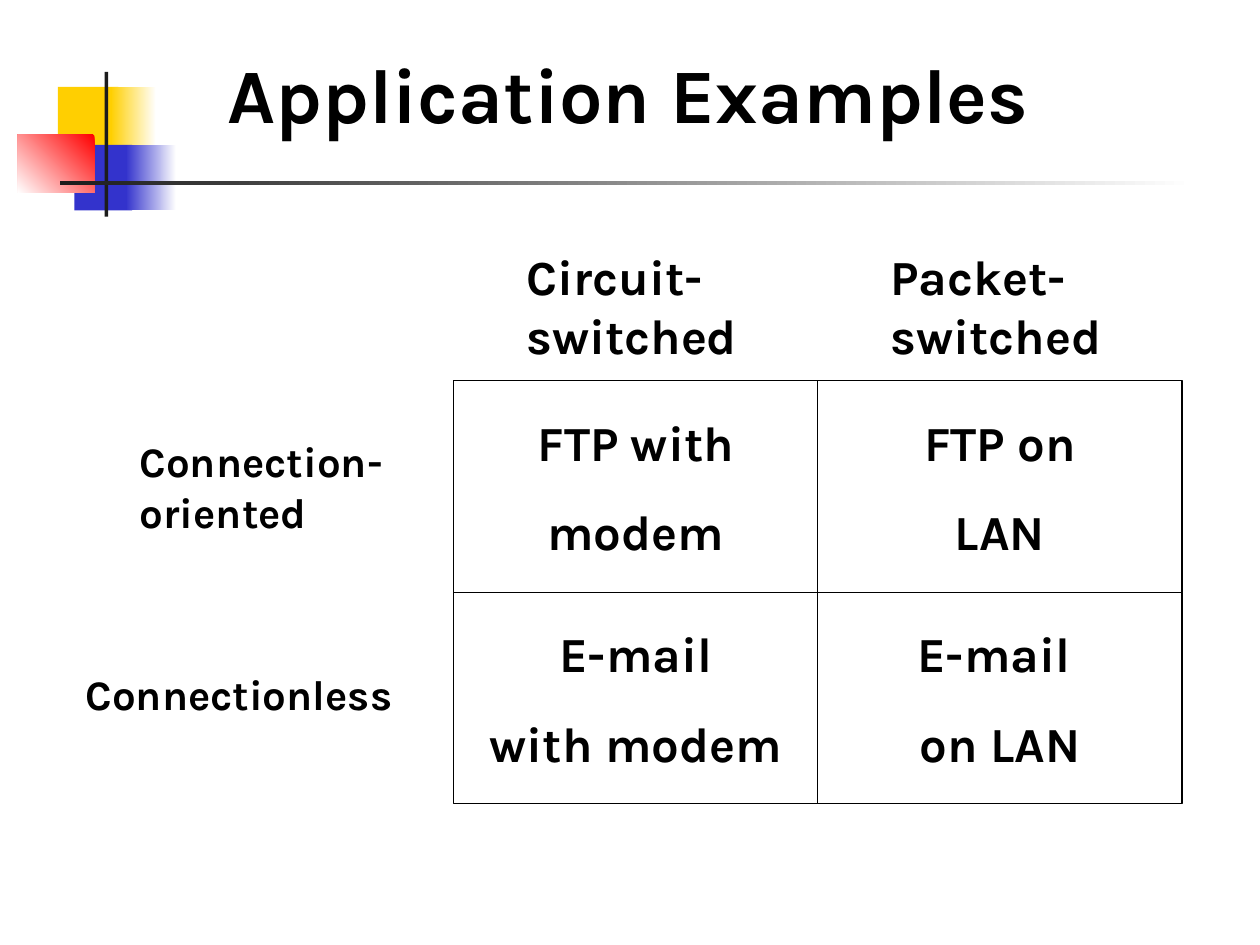
import pptx
import pptx.dml.color
import pptx.enum.shapes
import pptx.enum.text
import pptx.util

Inches = pptx.util.Inches
Pt = pptx.util.Pt
RGBColor = pptx.dml.color.RGBColor
Align = pptx.enum.text.PP_ALIGN
Anchor = pptx.enum.text.MSO_ANCHOR
AutoSize = pptx.enum.text.MSO_AUTO_SIZE

BLACK = RGBColor(0x00, 0x00, 0x00)
WHITE = RGBColor(0xFF, 0xFF, 0xFF)
YELLOW = RGBColor(0xFF, 0xCF, 0x01)
BLUE = RGBColor(0x33, 0x33, 0xCC)
RED = RGBColor(0xFF, 0x00, 0x00)
CHARCOAL = RGBColor(0x1C, 0x1C, 0x1C)

GRID_LEFT, GRID_TOP = 3.6, 3.02
CELL_WIDTH, CELL_HEIGHT = 2.89, 1.68
CELLS = [
    [["FTP with", "modem"], ["FTP on", "LAN"]],
    [["E-mail", "with modem"], ["E-mail ", "on LAN"]],
]
COLUMN_HEADS = ["Circuit-", "Packet-"]


def set_values(target, values):
    for name, value in values.items():
        setattr(target, name, value)


def add_rectangle(page, place):
    shape = page.shapes.add_shape(
        pptx.enum.shapes.MSO_SHAPE.RECTANGLE, *map(Inches, place))
    shape.shadow.inherit = False
    return shape


def add_solid(page, place, color):
    shape = add_rectangle(page, place)
    shape.fill.solid()
    shape.fill.fore_color.rgb = color
    shape.line.fill.background()


def add_gradient(page, place, colors, angle):
    shape = add_rectangle(page, place)
    shape.fill.gradient()
    shape.fill.gradient_angle = angle
    for stop, color in zip(shape.fill.gradient_stops, colors):
        stop.color.rgb = color
    shape.line.fill.background()


def write_lines(frame, lines, size, align=Align.LEFT, gap=0):
    for index, line in enumerate(lines):
        para = frame.paragraphs[0] if index == 0 else frame.add_paragraph()
        set_values(para, {"alignment": align, "space_before": Pt(gap if index else 0)})
        span = para.add_run()
        span.text = line
        set_values(span.font, {"name": "Karla", "size": Pt(size), "bold": True})
        span.font.color.rgb = BLACK


def add_label(page, place, lines, size):
    frame = page.shapes.add_textbox(*map(Inches, place)).text_frame
    set_values(frame, {"word_wrap": False, "auto_size": AutoSize.SHAPE_TO_FIT_TEXT})
    write_lines(frame, lines, size)


def add_title(page, text):
    box = page.shapes.add_textbox(Inches(0.41), Inches(0.37), Inches(9.15), Inches(0.73))
    set_values(box.text_frame, {
        "word_wrap": True, "auto_size": AutoSize.SHAPE_TO_FIT_TEXT,
        "vertical_anchor": Anchor.BOTTOM,
        "margin_left": 0, "margin_top": 0, "margin_right": 0, "margin_bottom": 0,
    })
    write_lines(box.text_frame, [text], 44, Align.CENTER)


def add_cell(page, row, column, lines):
    cell = add_rectangle(page, (GRID_LEFT + column * CELL_WIDTH,
                                GRID_TOP + row * CELL_HEIGHT, CELL_WIDTH, CELL_HEIGHT))
    cell.fill.background()
    cell.line.color.rgb = BLACK
    cell.line.width = Pt(0.75)
    set_values(cell.text_frame, {"word_wrap": True, "vertical_anchor": Anchor.MIDDLE})
    write_lines(cell.text_frame, lines, 28, Align.CENTER, 17.5)


def add_ornament(page):
    add_solid(page, (0.46, 0.69, 0.48, 0.52), YELLOW)
    add_gradient(page, (0.88, 0.69, 0.36, 0.52), (WHITE, YELLOW), 180)
    add_solid(page, (0.59, 1.15, 0.46, 0.52), BLUE)
    add_gradient(page, (1, 1.15, 0.4, 0.52), (WHITE, BLUE), 180)
    add_gradient(page, (0.14, 1.07, 0.61, 0.46), (RED, WHITE), 225)
    add_solid(page, (0.83, 0.57, 0.03, 1.15), CHARCOAL)
    add_gradient(page, (0.48, 1.44, 9, 0.03), (WHITE, CHARCOAL), 180)


def main():
    deck = pptx.Presentation()
    set_values(deck, {"slide_width": Inches(10), "slide_height": Inches(7.5)})
    page = deck.slides.add_slide(deck.slide_layouts[6])
    add_ornament(page)
    add_label(page, (0.58, 5.26, 2.72, 0.5), ["Connectionless"], 24)
    add_label(page, (1.01, 3.41, 2.2, 0.9), ["Connection-", "oriented"], 24)
    for column, head in enumerate(COLUMN_HEADS):
        add_label(page, (4.08 + column * CELL_WIDTH, 1.91, 1.94, 1.04),
                  [head, "switched"], 28)
    for row, cells in enumerate(CELLS):
        for column, lines in enumerate(cells):
            add_cell(page, row, column, lines)
    add_title(page, "Application Examples")
    deck.save("out.pptx")


if __name__ == "__main__":
    main()
